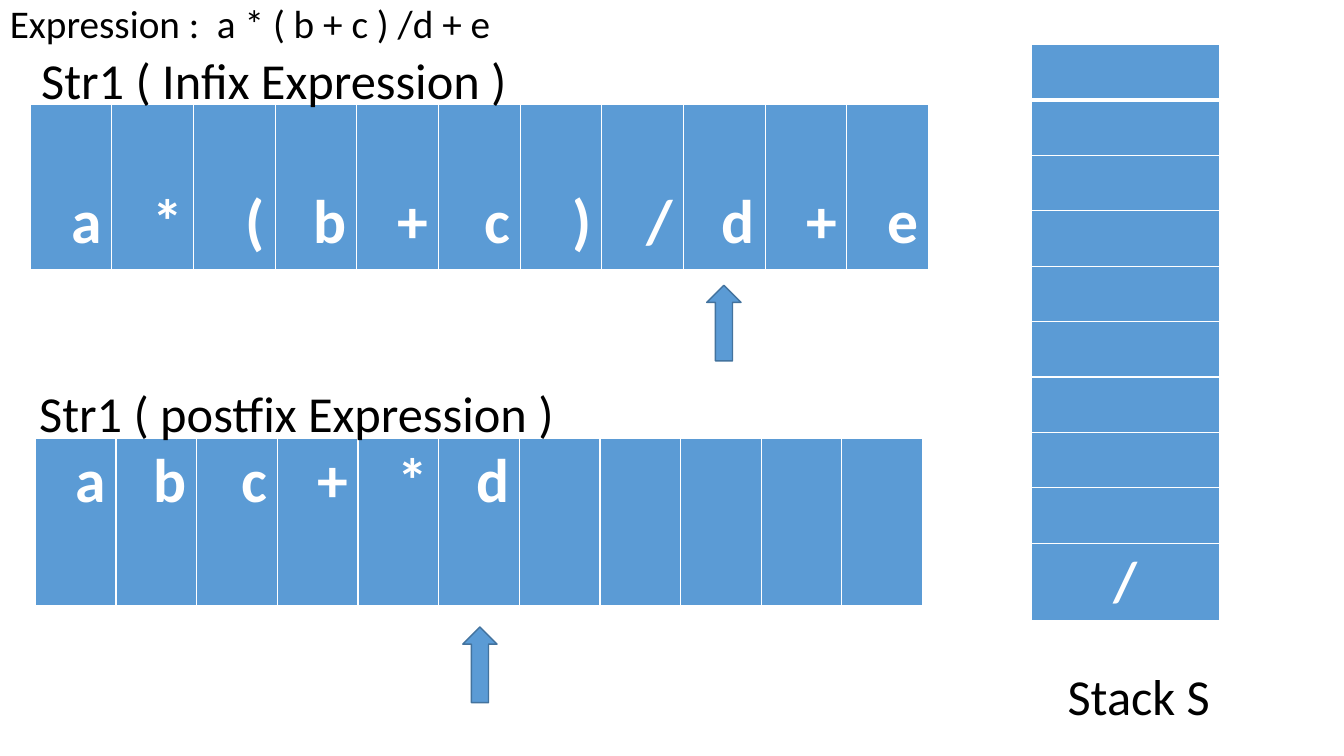
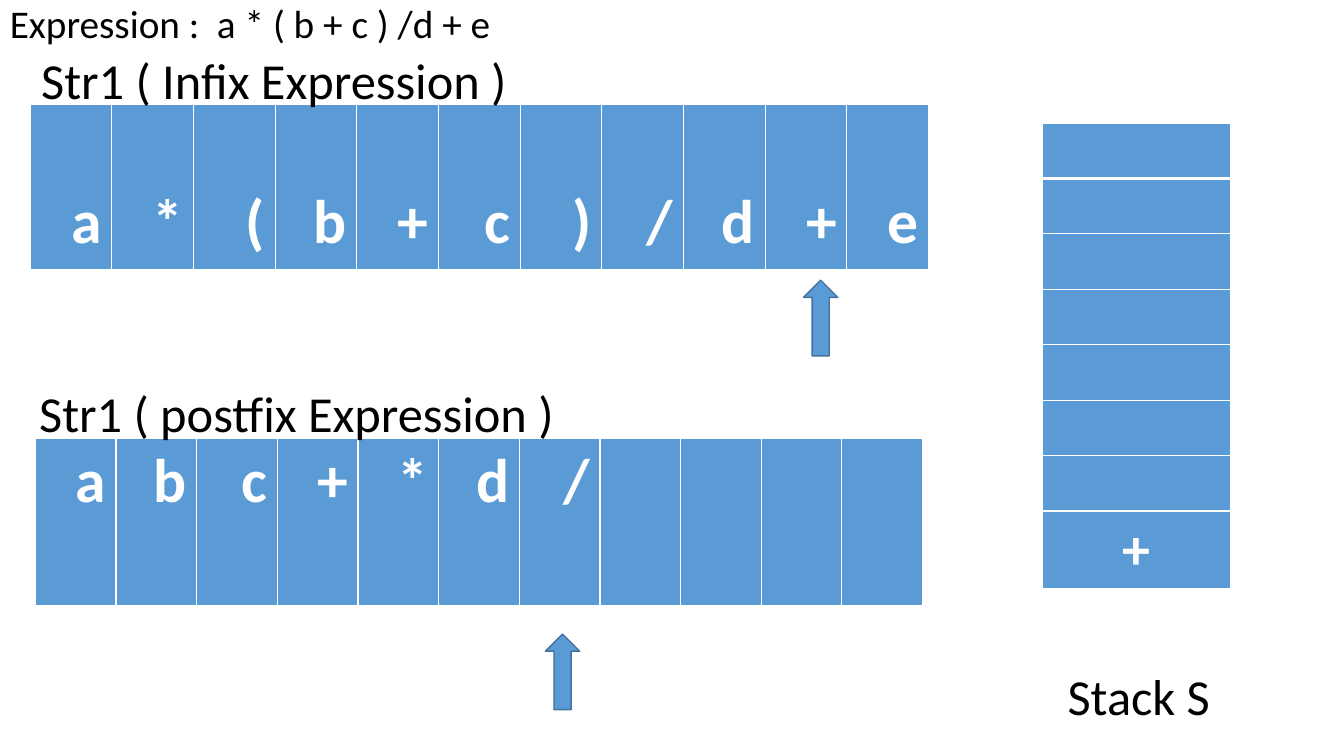
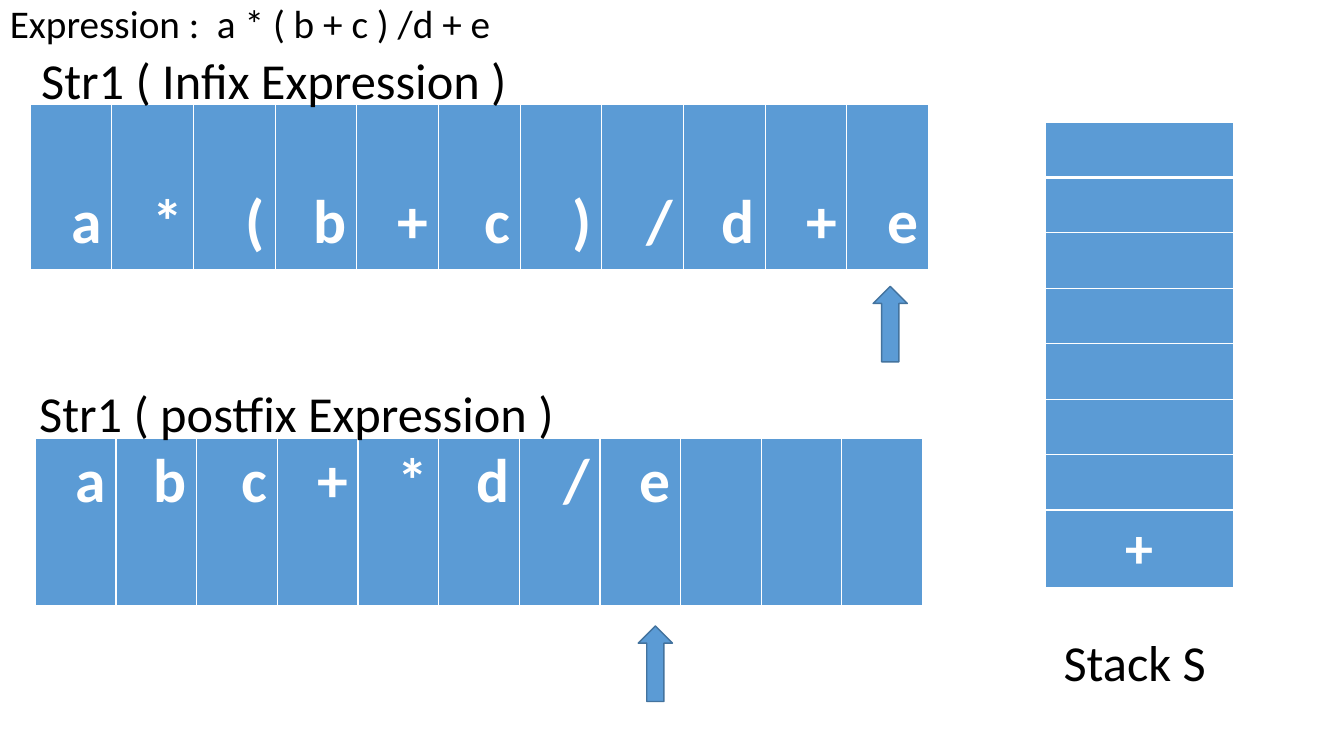
from lxml import etree
from pptx import Presentation
from pptx.dml.color import RGBColor
from pptx.enum.shapes import MSO_SHAPE
from pptx.enum.text import MSO_ANCHOR, PP_ALIGN
from pptx.oxml.ns import qn
from pptx.util import Inches, Pt

UP_ARROW = MSO_SHAPE.UP_ARROW
TOP, BOTTOM = MSO_ANCHOR.TOP, MSO_ANCHOR.BOTTOM
LEFT, CENTER, RIGHT = PP_ALIGN.LEFT, PP_ALIGN.CENTER, PP_ALIGN.RIGHT

# Shared look
SLIDE_WIDTH, SLIDE_HEIGHT = 13.33, 7.5
FONT = "Calibri"
COLORS = {"cell": "5B9BD5", "outline": "43739E", "border": "FFFFFF",
          "cell_text": "FFFFFF", "text": "000000"}
THIN, THICK = 1, 3
LABEL_SIZE, LABEL_HEIGHT = 36, 0.71
ARROW_WIDTH, ARROW_HEIGHT = 0.34, 0.75

# Content shared by every step
EXPRESSION = "Expression :  a * ( b + c ) /d + e"
INFIX = "a*(b+c)/d+e"
CELL_COUNT = len(INFIX)
LABELS = [("Str1 ( Infix Expression )", 0.31, 0.44, 8.5),
          ("Str1 ( postfix Expression )", 0.29, 3.74, 8.7)]
INFIX_BOX = (0.3, 1.04, 8.91, 1.65)
POSTFIX_BOX = (0.35, 4.35, 8.8, 1.67)

# Stack geometry
STACK_WIDTH, STACK_ROW, STACK_LAST_ROW = 1.87, 0.55, 0.69

# One entry per step; positions are (left, top)
STEPS = [
    {"postfix": "abc+*d", "arrows": [(7.01, 2.83), (4.59, 6.22)],
     "stack_item": "/", "stack_rows": 10, "stack_at": (10.23, 0.44),
     "stack_label_at": (10.49, 6.55)},
    {"postfix": "abc+*d/", "arrows": [(7.97, 2.78), (5.41, 6.29)],
     "stack_item": "+", "stack_rows": 8, "stack_at": (10.34, 1.22),
     "stack_label_at": (10.49, 6.55)},
    {"postfix": "abc+*d/e", "arrows": [(8.66, 2.84), (6.33, 6.21)],
     "stack_item": "+", "stack_rows": 8, "stack_at": (10.37, 1.21),
     "stack_label_at": (10.45, 6.21)},
]


def color(name):
    return RGBColor.from_string(COLORS[name])


def write(paragraph, text, size, color_name, bold=False, align=LEFT):
    paragraph.alignment = align
    run = paragraph.add_run()
    run.text = text
    run.font.name = FONT
    run.font.size = Pt(size)
    run.font.bold = bold
    run.font.color.rgb = color(color_name)


def add_text(slide, text, left, top, width, height, size=LABEL_SIZE):
    box = slide.shapes.add_textbox(*map(Inches, (left, top, width, height)))
    box.text_frame.word_wrap = True
    paragraph = box.text_frame.paragraphs[0]
    write(paragraph, text, size, "text")
    return paragraph


def add_arrow(slide, left, top):
    arrow = slide.shapes.add_shape(
        UP_ARROW, *map(Inches, (left, top, ARROW_WIDTH, ARROW_HEIGHT)))
    arrow.shadow.inherit = False
    arrow.fill.solid()
    arrow.fill.fore_color.rgb = color("cell")
    arrow.line.color.rgb = color("outline")
    arrow.line.width = Pt(1)


def set_borders(cell, widths):
    """Put left, right, top and bottom lines ahead of the cell's fill."""
    properties = cell._tc.get_or_add_tcPr()
    for index, (side, width) in enumerate(zip("LRTB", widths)):
        line = etree.Element(qn(f"a:ln{side}"), w=str(Pt(width)))
        fill = etree.SubElement(line, qn("a:solidFill"))
        etree.SubElement(fill, qn("a:srgbClr"), val=COLORS["border"])
        properties.insert(index, line)


def add_grid(slide, left, top, column_widths, row_heights):
    """Add a table of plain blue cells with a thick line under the first row."""
    frame = slide.shapes.add_table(
        len(row_heights), len(column_widths),
        *map(Inches, (left, top, sum(column_widths), sum(row_heights))))
    table = frame.table
    table.first_row = table.horz_banding = False
    for column, width in zip(table.columns, column_widths):
        column.width = Inches(width)
    for index, (row, height) in enumerate(zip(table.rows, row_heights)):
        row.height = Inches(height)
        above = THICK if index == 1 else THIN
        below = THICK if index == 0 else THIN
        for cell in row.cells:
            cell.fill.solid()
            cell.fill.fore_color.rgb = color("cell")
            set_borders(cell, (THIN, THIN, above, below))
    return table


def add_string(slide, symbols, box, anchor):
    left, top, width, height = box
    table = add_grid(slide, left, top, [width / CELL_COUNT] * CELL_COUNT, [height])
    for cell, symbol in zip(table.rows[0].cells, symbols):
        cell.vertical_anchor = anchor
        if anchor == BOTTOM:
            cell.margin_bottom = Inches(0.11)
        write(cell.text_frame.paragraphs[0], symbol, 44, "cell_text", True, RIGHT)


def add_stack(slide, item, row_count, position):
    heights = [STACK_ROW] * (row_count - 1) + [STACK_LAST_ROW]
    table = add_grid(slide, *position, [STACK_WIDTH], heights)
    paragraph = table.cell(row_count - 1, 0).text_frame.paragraphs[0]
    write(paragraph, item, 40, "cell_text", True, CENTER)


def add_step(presentation, step):
    slide = presentation.slides.add_slide(presentation.slide_layouts[6])
    heading = add_text(slide, EXPRESSION, 0, 0, SLIDE_WIDTH, SLIDE_HEIGHT, 28)
    heading.line_spacing = 0.9
    # Strings with their current positions
    add_string(slide, INFIX, INFIX_BOX, BOTTOM)
    add_string(slide, step["postfix"], POSTFIX_BOX, TOP)
    for position in step["arrows"]:
        add_arrow(slide, *position)
    # Stack
    add_stack(slide, step["stack_item"], step["stack_rows"], step["stack_at"])
    add_text(slide, "Stack S", *step["stack_label_at"], 2.01, LABEL_HEIGHT)
    # String labels
    for text, left, top, width in LABELS:
        add_text(slide, text, left, top, width, LABEL_HEIGHT)


def main():
    presentation = Presentation()
    presentation.slide_width = Inches(SLIDE_WIDTH)
    presentation.slide_height = Inches(SLIDE_HEIGHT)
    for step in STEPS:
        add_step(presentation, step)
    presentation.save("out.pptx")


if __name__ == "__main__":
    main()
